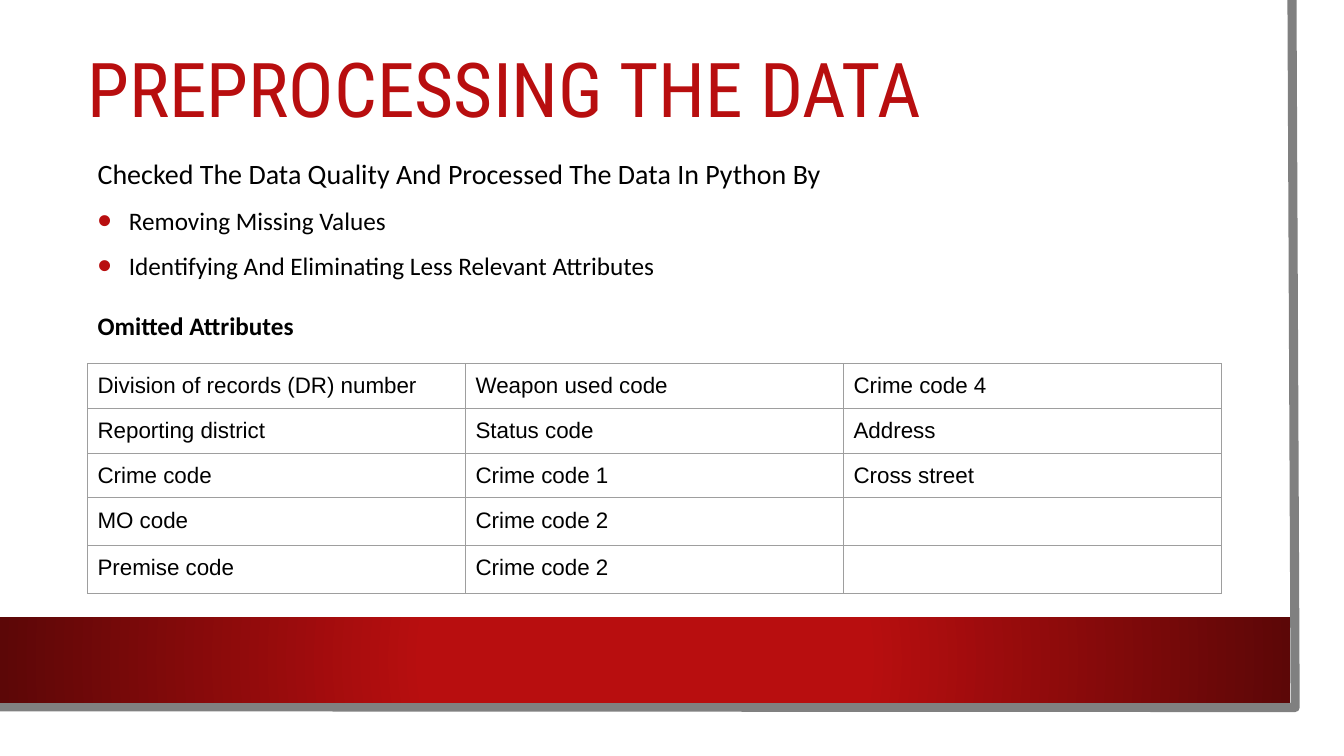
from lxml import etree
from pptx import Presentation
from pptx.dml.color import RGBColor
from pptx.enum.shapes import MSO_SHAPE as Preset
from pptx.enum.text import MSO_ANCHOR as Anchor
from pptx.oxml import parse_xml
from pptx.oxml.ns import nsdecls, qn
from pptx.util import Cm, Pt

COLORS = {"red": "B80E0F", "dark_red": "5C0707", "gray": "808080",
          "border": "9E9E9E", "black": "000000", "white": "FFFFFF"}

OMITTED_ATTRIBUTES = [
    ["Division of records (DR) number", "Weapon used code", "Crime code 4"],
    ["Reporting district", "Status code", "Address"],
    ["Crime code", "Crime code 1", "Cross street"],
    ["MO code", "Crime code 2", ""],
    ["Premise code", "Crime code 2", ""],
]
ROW_HEIGHTS = [1.13, 1.13, 1.13, 1.2, 1.2]


def rgb(name):
    """Return the named colour."""
    return RGBColor.from_string(COLORS[name])


def write(paragraph, text, size=18, font="Calibri", color="black", bold=False,
          spacing=None, before=0):
    """Write formatted text into a paragraph."""
    run = paragraph.add_run()
    run.text = text
    run.font.size = Pt(size)
    run.font.name = font
    run.font.bold = bold
    run.font.color.rgb = rgb(color)
    paragraph.space_before = Pt(before)
    if spacing:
        paragraph.line_spacing = spacing


def add_bullet(paragraph, indent=0.79):
    """Give a paragraph a large red bullet with a hanging indent."""
    properties = paragraph._p.get_or_add_pPr()
    properties.set("marL", str(Cm(indent)))
    properties.set("indent", str(-Cm(indent)))
    color = etree.SubElement(properties, qn("a:buClr"))
    etree.SubElement(color, qn("a:srgbClr"), val=COLORS["red"])
    etree.SubElement(properties, qn("a:buSzPct"), val="160000")
    etree.SubElement(properties, qn("a:buFont"), typeface="Arial")
    etree.SubElement(properties, qn("a:buChar"), char="•")


def add_panel(slide, left, top, width, height):
    """Add a plain white rectangle."""
    panel = slide.shapes.add_shape(
        Preset.RECTANGLE, Cm(left), Cm(top), Cm(width), Cm(height))
    panel.shadow.inherit = False
    panel.fill.solid()
    panel.fill.fore_color.rgb = rgb("white")
    panel.line.fill.background()
    return panel


def add_frame(slide, left, top, width, height):
    """Draw the white sheet, its gray edge and the red band."""
    add_panel(slide, left, top, width, height)

    right, bottom = left + width - 0.63, top + height - 0.64
    builder = slide.shapes.build_freeform(Cm(right - 0.08), Cm(top))
    builder.add_line_segments(
        [(Cm(right), Cm(bottom)), (Cm(left - 0.08), Cm(bottom - 0.02))], close=False)
    edge = builder.convert_to_shape()
    edge.shadow.inherit = False
    edge.fill.background()
    edge.line.color.rgb = rgb("gray")
    edge.line.width = Pt(6.5)

    band = add_panel(slide, left, bottom - 2.28, right - left - 0.13, 2.16)
    gradient = parse_xml(
        f'<a:gradFill {nsdecls("a")} rotWithShape="1"><a:gsLst>'
        f'<a:gs pos="34000"><a:srgbClr val="{COLORS["red"]}"/></a:gs>'
        f'<a:gs pos="100000"><a:srgbClr val="{COLORS["dark_red"]}"/></a:gs></a:gsLst>'
        '<a:path path="circle"><a:fillToRect l="50000" t="50000" r="50000" b="50000"/>'
        '</a:path></a:gradFill>')
    white_fill = band.element.spPr.find(qn("a:solidFill"))
    white_fill.getparent().replace(white_fill, gradient)


def place_title(slide, left, top, width, height):
    """Place the title placeholder in front of the frame and format it."""
    title = slide.shapes.title
    title.element.getparent().append(title.element)
    title.left, title.top, title.width, title.height = map(
        Cm, (left, top, width, height))
    title.text_frame.vertical_anchor = Anchor.MIDDLE
    title.text_frame.word_wrap = True
    heading = title.text_frame.paragraphs[0]
    write(heading, "PREPROCESSING THE DATA", size=54, font="Roboto Condensed",
          color="red", spacing=0.9)
    heading.alignment = 1


def add_steps(slide, left, top, width, height):
    """List the preprocessing steps and the heading of the table."""
    steps = slide.shapes.add_textbox(
        Cm(left), Cm(top), Cm(width), Cm(height)).text_frame
    steps.word_wrap = True
    write(steps.paragraphs[0],
          "Checked The Data Quality And Processed The Data In Python By",
          size=20, spacing=1.5)
    for step in ("Removing Missing Values",
                 "Identifying And Eliminating Less Relevant Attributes"):
        item = steps.add_paragraph()
        write(item, step, spacing=1.5)
        add_bullet(item)
    write(steps.add_paragraph(), "Omitted Attributes", bold=True, spacing=1.5,
          before=10)


def add_borders(cell):
    """Draw a thin gray line on each side of a cell."""
    properties = cell._tc.get_or_add_tcPr()
    for position, side in enumerate("LRTB"):
        properties.insert(position, parse_xml(
            f'<a:ln{side} {nsdecls("a")} w="{Pt(0.75)}"><a:solidFill>'
            f'<a:srgbClr val="{COLORS["border"]}"/></a:solidFill></a:ln{side}>'))


def add_attributes(slide, left, top, width, height):
    """Add the table of omitted attributes."""
    attributes = slide.shapes.add_table(
        len(OMITTED_ATTRIBUTES), len(OMITTED_ATTRIBUTES[0]),
        Cm(left), Cm(top), Cm(width), Cm(height)).table
    attributes.first_row = attributes.horz_banding = False
    for row, row_height, names in zip(attributes.rows, ROW_HEIGHTS, OMITTED_ATTRIBUTES):
        row.height = Cm(row_height)
        for cell, name in zip(row.cells, names):
            cell.margin_left = cell.margin_right = cell.margin_top = Cm(0.25)
            cell.margin_bottom = Cm(0.1)
            cell.fill.background()
            add_borders(cell)
            if name:
                write(cell.text_frame.paragraphs[0], name, size=16, font="Arial")


def main():
    """Build the slide and save it."""
    deck = Presentation()
    deck.slide_width, deck.slide_height = Cm(33.87), Cm(19.05)
    slide = deck.slides.add_slide(deck.slide_layouts[5])
    add_frame(slide, 0, 0, 33.27, 18.47)
    place_title(slide, 1.95, 0.5, 28.83, 3.7)
    add_steps(slide, 2.21, 3.4, 28.58, 5.28)
    add_attributes(slide, 2.21, 9.16, 28.58, sum(ROW_HEIGHTS))
    deck.save("out.pptx")


if __name__ == "__main__":
    main()
